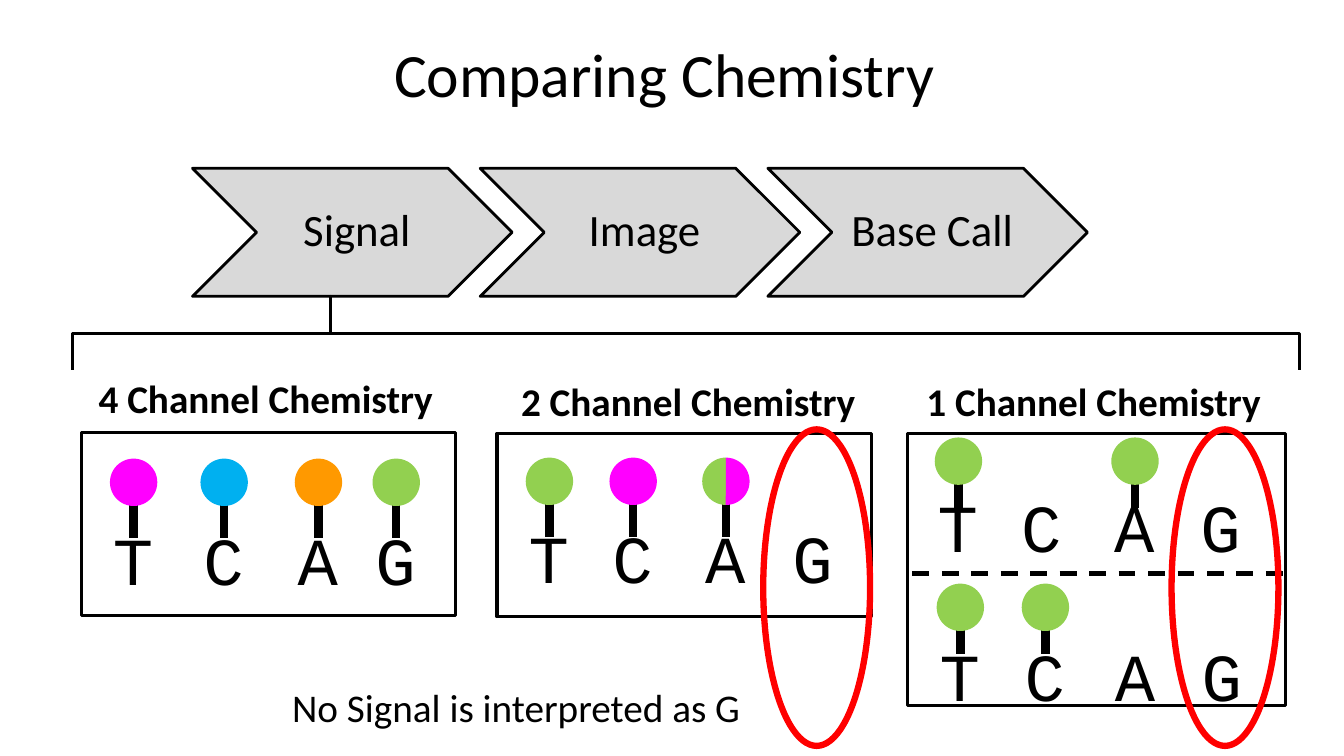
"""Build the slide that compares sequencing chemistries by channel count."""
from dataclasses import dataclass

from lxml import etree
from pptx import Presentation, util as u
from pptx.dml.color import RGBColor
from pptx.enum import dml, shapes, text
from pptx.oxml import ns


@dataclass(frozen=True)
class Theme:
    ink: str = "000000"
    gray: str = "D9D9D9"
    green: str = "92D050"
    pink: str = "FF00FF"
    blue: str = "00B0F0"
    gold: str = "FF9900"
    red: str = "FF0000"
    sans: str = "Calibri"
    mono: str = "Courier New"
    title: int = 44
    step: int = 32
    base: int = 48
    label: int = 28


T = Theme()
SHAPE = shapes.MSO_SHAPE
TITLE = "Comparing Chemistry"
STEPS = ["Signal", "Image", "Base Call"]
NOTE = "No Signal is interpreted as G"

# Panel: heading, heading left and top, frame, rows.
# Row: dot, stem and letter tops, then (letter, percent of panel width, dot colours).
PANELS = [
    ("4 Channel Chemistry", (0.88, 3.66), (0.81, 4.29, 3.71, 1.82), [
        (4.55, 4.95, 5.09, [("T", 13.9, [T.pink]), ("C", 38.1, [T.blue]),
                            ("A", 63.3, [T.gold]), ("G", 84.1, [T.green])]),
    ]),
    ("2 Channel Chemistry", (5.07, 3.69), (4.93, 4.3, 3.71, 1.82), [
        (4.54, 4.94, 5.07, [("T", 14, [T.green]), ("C", 36.4, [T.pink]),
                            ("A", 61.2, [T.green, T.pink]), ("G", 84.5, [])]),
    ]),
    ("1 Channel Chemistry", (9.09, 3.69), (9, 4.3, 3.75, 2.7), [
        (4.34, 4.65, 4.77, [("T", 13.5, [T.green]), ("C", 35.6, []),
                            ("A", 60.2, [T.green]), ("G", 83, [])]),
        (5.79, 6.1, 6.24, [("T", 14, [T.green]), ("C", 36.5, [T.green]),
                           ("A", 60.4, []), ("G", 83.3, [])]),
    ]),
]
RINGS = [7.57, 11.62]
HALVES = [(53.33, 162), (161.82, 54.42)]
DOT, STEM = 0.47, 0.39
CELL = (0.61, 0.91)
HEAD = (3.56, 0.57)


def inch(*nums):
    return [u.Inches(n) for n in nums]


def shape(tree, kind, box, fill=None, line=None, width=2.25):
    item = tree.add_shape(kind, *inch(*box))
    item.shadow.inherit = False
    if fill:
        item.fill.solid()
        item.fill.fore_color.rgb = RGBColor.from_string(fill)
    else:
        item.fill.background()
    if line:
        item.line.color.rgb = RGBColor.from_string(line)
        item.line.width = u.Pt(width)
    else:
        item.line.fill.background()
    return item


def rule(tree, start, end, width):
    item = tree.add_connector(shapes.MSO_CONNECTOR.STRAIGHT, *inch(*start, *end))
    item.line.color.rgb = RGBColor.from_string(T.ink)
    item.line.width = u.Pt(width)
    etree.SubElement(item._element.spPr, ns.qn("a:effectLst"))
    return item


def write(frame, words, size, font=T.sans, bold=False):
    frame.text = words
    para = frame.paragraphs[0]
    face = para.runs[0].font
    face.name, face.size, face.bold = font, u.Pt(size), bold
    face.color.rgb = RGBColor.from_string(T.ink)
    return para


def label(tree, words, box, size, font=T.sans, bold=False):
    frame = tree.add_textbox(*inch(*box)).text_frame
    frame.word_wrap = False
    frame.auto_size = text.MSO_AUTO_SIZE.SHAPE_TO_FIT_TEXT
    write(frame, words, size, font, bold)


def dot(tree, mid, top, fills):
    box = (mid - DOT / 2, top, DOT, DOT)
    if len(fills) == 1:
        shape(tree, SHAPE.OVAL, box, fills[0])
        return
    for fill, turn in zip(fills, HALVES):
        half = shape(tree, SHAPE.PIE, box, fill)
        half.adjustments[0], half.adjustments[1] = turn


def panel(tree, head, spot, frame, rows):
    left, top, wide, high = frame
    shape(tree, SHAPE.RECTANGLE, frame, line=T.ink)
    label(tree, head, (*spot, *HEAD), T.label, bold=True)
    for dot_y, stem_y, base_y, bases in rows:
        for base, share, fills in bases:
            mid = left + wide * share / 100
            label(tree, base, (mid - CELL[0] / 2, base_y, *CELL), T.base, T.mono)
            if fills:
                rule(tree, (mid, stem_y), (mid, stem_y + STEM), 6)
                dot(tree, mid, dot_y, fills)
    if len(rows) > 1:
        split = rule(tree, (left + 0.05, 5.69), (left + wide, 5.69), 3)
        split.line.dash_style = dml.MSO_LINE.DASH


def flow(tree):
    wide, high = 3.17, 1.27
    for num, step in enumerate(STEPS):
        box = (1.91 + num * wide * 0.9, 1.67, wide, high)
        frame = shape(tree, SHAPE.CHEVRON, box, T.gray, T.ink, 2).text_frame
        frame.word_wrap = True
        frame.vertical_anchor = text.MSO_ANCHOR.MIDDLE
        (frame.margin_left, frame.margin_top,
         frame.margin_right, frame.margin_bottom) = inch(0.14, 0.05, 0.05, 0.05)
        para = write(frame, step, T.step)
        para.alignment = text.PP_ALIGN.CENTER
        para.line_spacing = 0.9


def main():
    deck = Presentation()
    deck.slide_width, deck.slide_height = inch(13.33, 7.5)
    slide = deck.slides.add_slide(deck.slide_layouts[5])
    tree = slide.shapes

    title = tree.title
    title.left, title.top, title.width, title.height = inch(0.59, 0.1, 12, 1.25)
    title.text_frame.vertical_anchor = text.MSO_ANCHOR.MIDDLE
    write(title.text_frame, TITLE, T.title).alignment = text.PP_ALIGN.CENTER

    for part in PANELS:
        panel(tree.add_group_shape().shapes, *part)
    flow(tree.add_group_shape().shapes)

    brace = shape(tree, SHAPE.RIGHT_BRACE, (6.44, -2.78, 0.73, 12.17), line=T.ink)
    brace.rotation = 270
    brace.adjustments[0], brace.adjustments[1] = 0, 0.21
    for left in RINGS:
        shape(tree, SHAPE.OVAL, (left, 4.26, 1.06, 3.14), line=T.red, width=4.5)
    label(tree, NOTE, (2.8, 6.73, 4.69, 0.57), T.label)
    deck.save("out.pptx")


if __name__ == "__main__":
    main()
